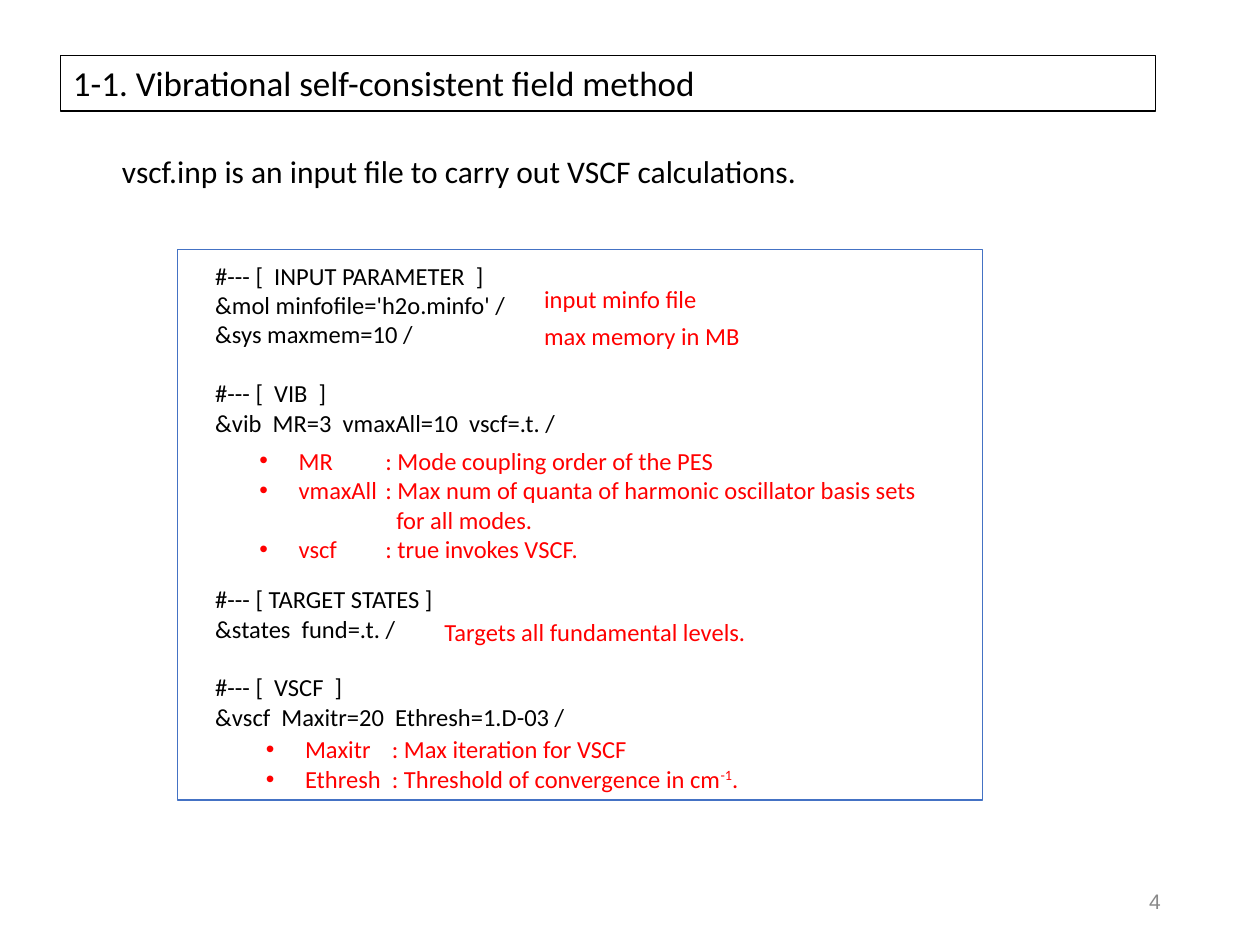
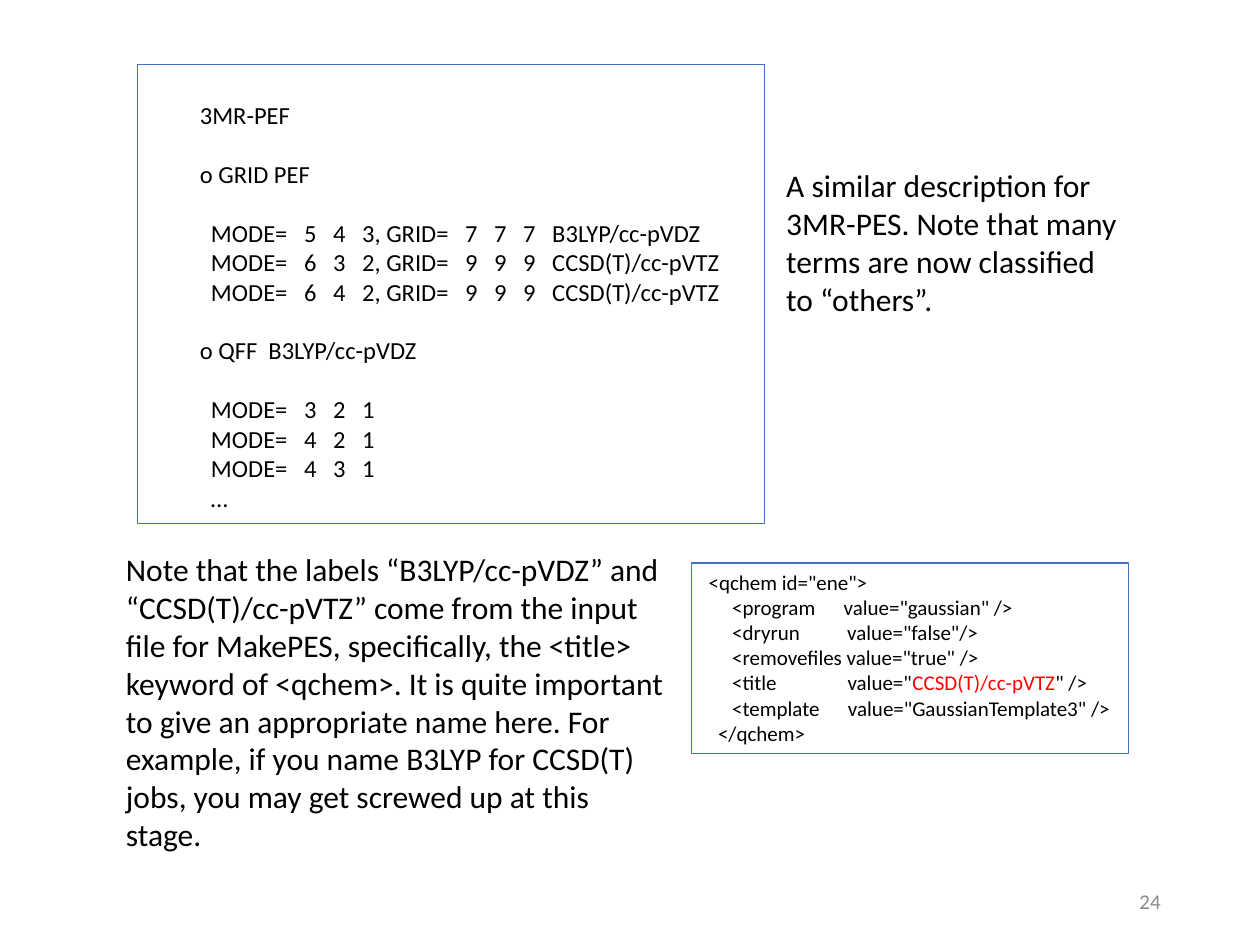
"""Builds two slides on VSCF input files and potential energy output."""
from pptx import Presentation
from pptx.dml.color import RGBColor
from pptx.enum.shapes import MSO_SHAPE
from pptx.enum.text import MSO_ANCHOR, MSO_AUTO_SIZE, PP_ALIGN
from pptx.oxml.ns import qn
from pptx.util import Cm, Pt
from lxml.etree import SubElement

BLACK = RGBColor(0x00, 0x00, 0x00)
RED = RGBColor(0xFF, 0x00, 0x00)
BLUE = RGBColor(0x44, 0x72, 0xC4)
NUMBER_GRAY = RGBColor(0x89, 0x89, 0x89)
NUMBER_LIGHT_GRAY = RGBColor(0x8C, 0x8C, 0x8C)
FONT = "Calibri"
BODY_SIZE = 18
CODE_SIZE = 14
CODE_LINE = 16.8
BULLET_INDENT = Cm(0.79)
TAB_WIDTH = Cm(2.54)

INPUT_FILE = [
    ("#--- [  INPUT PARAMETER  ]", 0),
    ("&mol minfofile='h2o.minfo' /", 0),
    ("&sys maxmem=10 /", 0),
    ("#--- [  VIB  ]", 1),
    ("&vib  MR=3  vmaxAll=10  vscf=.t. /", 0),
    ("#--- [ TARGET STATES ]", 5),
    ("&states  fund=.t. /", 0),
    ("#--- [  VSCF  ]", 1),
    ("&vscf  Maxitr=20  Ethresh=1.D-03 /", 0),
]
SIDE_NOTES = [
    ("input minfo file", 10.72, 5.61, 3.61),
    ("max memory in MB", 10.72, 6.35, 4.47),
    ("Targets all fundamental levels.", 8.71, 12.32, 6.65),
]
PEF_OUTPUT = [
    ("3MR-PEF", 0),
    ("o GRID PEF", 1),
    ("  MODE=   5   4   3, GRID=   7   7   7   B3LYP/cc-pVDZ", 1),
    ("  MODE=   6   3   2, GRID=   9   9   9   CCSD(T)/cc-pVTZ", 0),
    ("  MODE=   6   4   2, GRID=   9   9   9   CCSD(T)/cc-pVTZ", 0),
    ("o QFF  B3LYP/cc-pVDZ", 1),
    ("  MODE=   3   2   1", 1),
    ("  MODE=   4   2   1", 0),
    ("  MODE=   4   3   1", 0),
    ("  …", 0),
]
QCHEM_INPUT = [
    ' <qchem id="ene">',
    '      <program      value="gaussian" />',
    '      <dryrun          value="false"/>',
    '      <removefiles value="true" />',
    [('      <title               value="', {}),
     ("CCSD(T)/cc-pVTZ", {"color": RED}), ('" />', {})],
    '      <template      value="GaussianTemplate3" />',
    "   </qchem>",
]


def add_run(paragraph, text, size=CODE_SIZE, color=BLACK, font=FONT, superscript=False):
    """Append formatted text to a paragraph."""
    run = paragraph.add_run()
    run.text = text
    run.font.size = Pt(size)
    run.font.name = font
    run.font.color.rgb = color
    if superscript:
        run.font._element.set("baseline", "30000")


def set_bullet(paragraph):
    """Give a paragraph a hanging round bullet."""
    properties = paragraph._p.get_or_add_pPr()
    properties.set("marL", str(BULLET_INDENT))
    properties.set("indent", str(-BULLET_INDENT))
    properties.set("defTabSz", str(TAB_WIDTH))
    SubElement(properties, qn("a:buFont")).set("typeface", "Arial")
    SubElement(properties, qn("a:buChar")).set("char", "•")


def fill_text(shape, lines, wrap=True, bullets=False, align=PP_ALIGN.LEFT, **style):
    """Write lines, each a string, a list of runs, or either with a gap in lines."""
    frame = shape.text_frame
    frame.word_wrap = wrap
    frame.auto_size = MSO_AUTO_SIZE.SHAPE_TO_FIT_TEXT
    frame.vertical_anchor = MSO_ANCHOR.TOP
    for index, line in enumerate(lines):
        content, gap = line if isinstance(line, tuple) else (line, 0)
        paragraph = frame.add_paragraph() if index else frame.paragraphs[0]
        paragraph.alignment = align
        if gap:
            paragraph.space_before = Pt(gap * CODE_LINE)
        if bullets:
            set_bullet(paragraph)
        runs = [(content, {})] if isinstance(content, str) else content
        for text, changes in runs:
            add_run(paragraph, text, **{**style, **changes})
    return frame


def add_text(slide, lines, left, top, width, height, **options):
    """Add a text box, placed in centimetres."""
    box = slide.shapes.add_textbox(Cm(left), Cm(top), Cm(width), Cm(height))
    return fill_text(box, lines, **options)


def add_frame(slide, left, top, width, height, color=BLUE, weight=0.75):
    """Add an unfilled outlined rectangle, placed in centimetres."""
    shape = slide.shapes.add_shape(
        MSO_SHAPE.RECTANGLE, Cm(left), Cm(top), Cm(width), Cm(height))
    shape.shadow.inherit = False
    shape.fill.background()
    shape.line.color.rgb = color
    shape.line.width = Pt(weight)
    return shape


def add_slide(presentation, number, color, font):
    """Add a blank slide with its number at the lower right."""
    slide = presentation.slides.add_slide(presentation.slide_layouts[6])
    frame = add_text(slide, [number], 17.93, 17.65, 5.72, 1.02,
                     align=PP_ALIGN.RIGHT, size=12, color=color, font=font)
    frame.auto_size = MSO_AUTO_SIZE.NONE
    frame.vertical_anchor = MSO_ANCHOR.MIDDLE
    return slide


def build_input_slide(presentation):
    """Build the slide that explains the VSCF input file."""
    slide = add_slide(presentation, "4", NUMBER_GRAY, "Arial")
    add_text(slide, ["vscf.inp is an input file to carry out VSCF calculations."],
             2.21, 2.95, 14.58, 1.02, size=BODY_SIZE)
    add_text(slide, INPUT_FILE, 4.09, 5.13, 7.62, 9.83, wrap=False)
    for note, left, top, width in SIDE_NOTES:
        add_text(slide, [note], left, top, width, 0.86, wrap=False, color=RED)

    vib_terms = add_text(slide, [
        "MR\t: Mode coupling order of the PES",
        "vmaxAll\t: Max num of quanta of harmonic oscillator basis sets",
        "for all modes.",
        "vscf\t: true invokes VSCF.",
    ], 4.98, 8.86, 14.78, 2.64, bullets=True, color=RED)
    continuation = vib_terms.paragraphs[2]._p.get_or_add_pPr()
    for bullet_part in list(continuation):
        continuation.remove(bullet_part)
    continuation.set("marL", str(Cm(2.76)))
    continuation.set("indent", "0")

    add_text(slide, [
        "Maxitr\t: Max iteration for VSCF",
        [("Ethresh\t: Threshold of convergence in cm", {}),
         ("-1", {"superscript": True}), (".", {})],
    ], 5.11, 14.68, 10.95, 1.45, wrap=False, bullets=True, color=RED)
    add_frame(slide, 3.58, 5.03, 16.23, 11.1, weight=1)
    title = add_frame(slide, 1.22, 1.12, 22.07, 1.12, color=BLACK)
    fill_text(title, ["1-1. Vibrational self-consistent field method"], size=20)


def build_output_slide(presentation):
    """Build the slide that explains the 3MR-PEF output."""
    slide = add_slide(presentation, "24", NUMBER_LIGHT_GRAY, FONT)
    output = fill_text(add_frame(slide, 2.77, 1.3, 12.65, 9.25), PEF_OUTPUT)
    output.margin_left = Cm(1.26)
    output.margin_top = Cm(0.72)
    add_text(slide, ["A similar description for 3MR-PES. Note that many terms "
                     "are now classified to “others”."],
             15.6, 3.23, 7.26, 3.33, size=BODY_SIZE)
    add_text(slide, ["Note that the labels “B3LYP/cc-pVDZ” and “CCSD(T)/cc-pVTZ” "
                     "come from the input file for MakePES, specifically, the "
                     "<title> keyword of <qchem>. It is quite important to give an "
                     "appropriate name here. For example, if you name B3LYP for "
                     "CCSD(T) jobs, you may get screwed up at this stage."],
             2.29, 10.97, 11.38, 5.64, size=BODY_SIZE)
    qchem = add_frame(slide, 13.94, 11.35, 8.81, 3.84)
    fill_text(qchem, QCHEM_INPUT, wrap=False, size=12)


def main():
    """Create and save the presentation."""
    presentation = Presentation()
    presentation.slide_width = Cm(25.4)
    presentation.slide_height = Cm(19.05)
    build_input_slide(presentation)
    build_output_slide(presentation)
    presentation.save("out.pptx")


if __name__ == "__main__":
    main()
